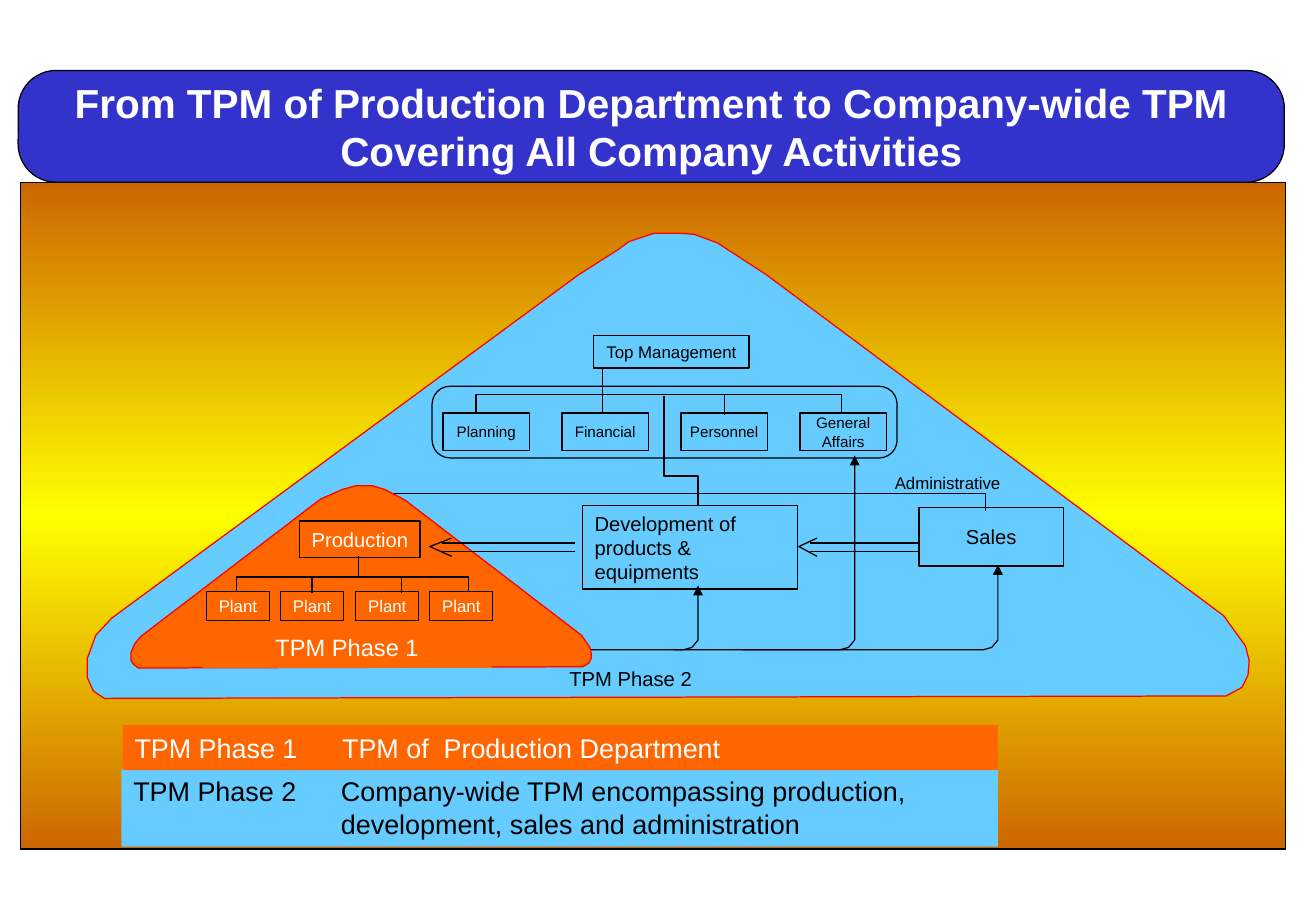
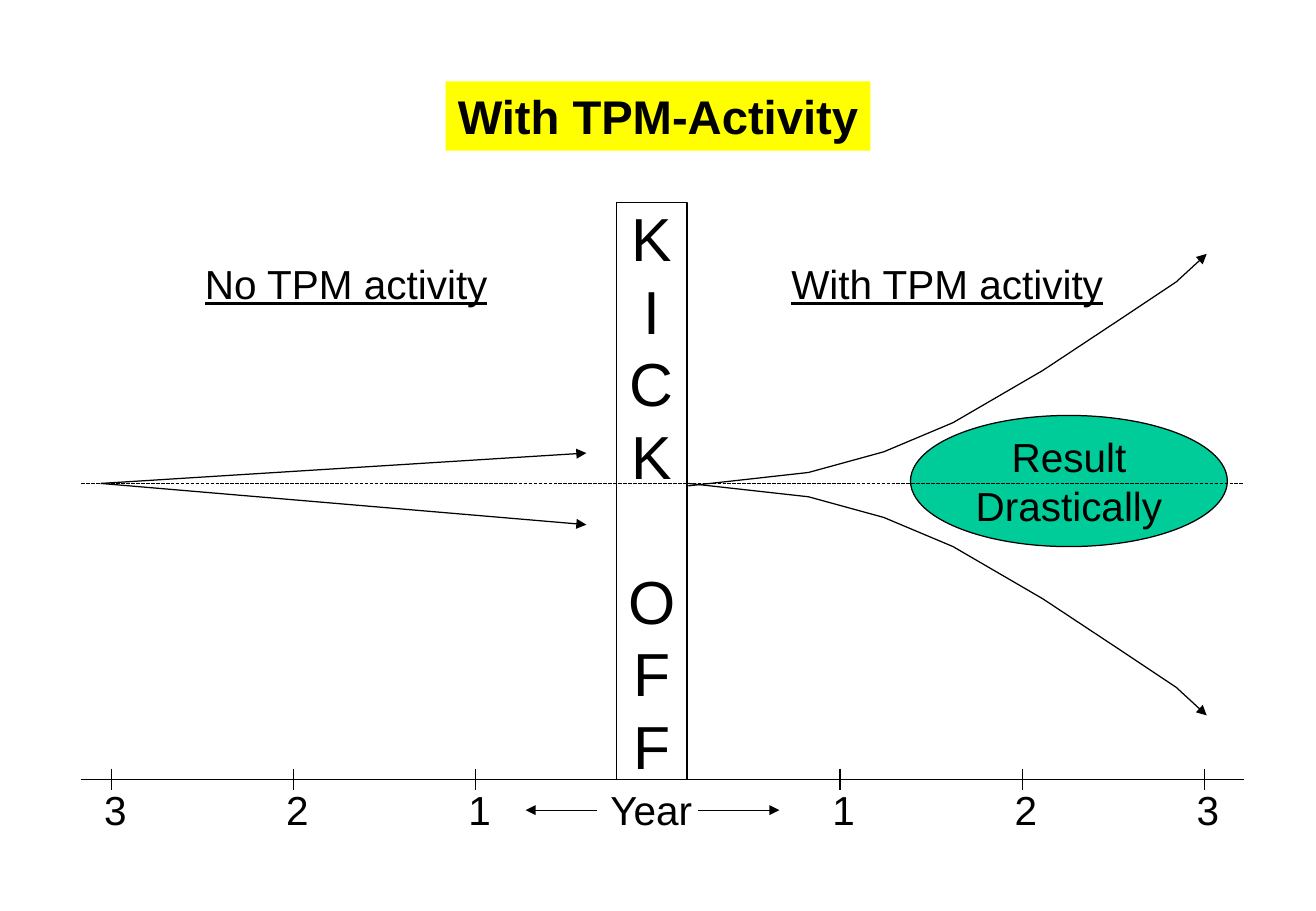
from lxml import etree
from pptx import Presentation
from pptx.dml.color import RGBColor
from pptx.enum.dml import MSO_LINE
from pptx.enum.shapes import MSO_CONNECTOR, MSO_SHAPE
from pptx.enum.text import MSO_ANCHOR, MSO_AUTO_SIZE, PP_ALIGN
from pptx.oxml.ns import qn
from pptx.util import Pt

PX = 9144  # EMU in one px, 100 px to the inch
FONT = "Arial"
C = {
    "black": "000000", "white": "FFFFFF", "band": "3333CC", "rust": "CC6600",
    "yellow": "FFFF00", "sky": "66CCFF", "orange": "FF6600", "red": "FF0000",
    "green": "00CC99",
}
RECT, ROUND, OVAL = MSO_SHAPE.RECTANGLE, MSO_SHAPE.ROUNDED_RECTANGLE, MSO_SHAPE.OVAL
LEFT, CENTER = PP_ALIGN.LEFT, PP_ALIGN.CENTER
TOP, MIDDLE = MSO_ANCHOR.TOP, MSO_ANCHOR.MIDDLE
STRAIGHT = MSO_CONNECTOR.STRAIGHT
DOTTED = MSO_LINE.SQUARE_DOT
TITLE_LAYOUT = 5
LEGEND_TAB = 171


def rgb(name):
    return RGBColor.from_string(C[name])


def set_attrs(obj, values):
    for name, value in values.items():
        setattr(obj, name, value)


# Text and outline formats
def write(sp, text, size, color="black", align=CENTER, anchor=MIDDLE,
          inset=10, wrap=True, **font):
    tf = sp.text_frame
    set_attrs(tf, {
        "text": text, "word_wrap": wrap, "auto_size": MSO_AUTO_SIZE.NONE,
        "vertical_anchor": anchor, "margin_left": inset * PX,
        "margin_right": inset * PX, "margin_top": 5 * PX, "margin_bottom": 5 * PX,
    })
    for p in tf.paragraphs:
        p.alignment = align
        p.space_before = Pt(0)
        set_attrs(p.font, {"name": FONT, "size": Pt(size), "bold": False, **font})
        p.font.color.rgb = rgb(color)
    return sp


def outline(sp, color="black", arrow=False):
    if color is None:
        sp.line.fill.background()
        return
    sp.line.color.rgb = rgb(color)
    sp.line.width = Pt(0.75)
    if arrow:
        etree.SubElement(sp.line._get_or_add_ln(), qn("a:tailEnd"), type="triangle")


def paint(sp, fill):
    if fill:
        sp.fill.solid()
        sp.fill.fore_color.rgb = rgb(fill)
    else:
        sp.fill.background()


# Kinds of element
def box(s, at, fill=None, line="black", shape=RECT, adj=None):
    sp = s.shapes.add_shape(shape, *(v * PX for v in at))
    sp.shadow.inherit = False
    paint(sp, fill)
    outline(sp, line)
    if adj is not None:
        sp.adjustments[0] = adj
    return sp


def label(s, at, text, size, **fmt):
    sp = s.shapes.add_textbox(*(v * PX for v in at))
    return write(sp, text, size, **fmt)


def path_shape(s, points, fill=None, line="black", closed=False, arrow=False):
    fb = s.shapes.build_freeform(*points[0], scale=PX)
    fb.add_line_segments(points[1:], close=closed)
    sp = fb.convert_to_shape()
    sp.shadow.inherit = False
    paint(sp, fill)
    outline(sp, line, arrow)
    return sp


def line(s, x1, y1, x2, y2, arrow=False):
    sp = s.shapes.add_connector(STRAIGHT, *(v * PX for v in (x1, y1, x2, y2)))
    outline(sp, arrow=arrow)
    etree.SubElement(sp._element.spPr, qn("a:effectLst"))
    return sp


def open_arrow(s, tail, end, barb, tip):
    for y in (447, 454):
        line(s, tail, y, end, y)
    path_shape(s, [(barb, 443), (tip, 450), (barb, 458)])


def title(s, at, text, size, color, fill=None):
    sp = s.shapes.title
    set_attrs(sp, dict(zip(("left", "top", "width", "height"), (v * PX for v in at))))
    paint(sp, fill)
    return write(sp, text, size, color=color, bold=True)


def vertical_gradient(sp, names):
    sp.fill.gradient()
    sp.fill.gradient_angle = 90
    stops = sp._element.spPr.find(qn("a:gradFill")).find(qn("a:gsLst"))
    for old in list(stops):
        stops.remove(old)
    for i, name in enumerate(names):
        gs = etree.SubElement(stops, qn("a:gs"), pos=str(i * 100000 // (len(names) - 1)))
        etree.SubElement(gs, qn("a:srgbClr"), val=C[name])


def legend(s, at, text, fill, color):
    """A name, a tab and its meaning; further lines align with the meaning."""
    sp = box(s, at, fill, None)
    write(sp, text, 16, color=color, align=LEFT, anchor=TOP)
    first, *rest = sp.text_frame.paragraphs
    tabs = etree.Element(qn("a:tabLst"))
    etree.SubElement(tabs, qn("a:tab"), pos=str(LEGEND_TAB * PX), algn="l")
    first._p.get_or_add_pPr().find(qn("a:defRPr")).addprevious(tabs)
    for p in rest:
        set_attrs_xml = p._p.get_or_add_pPr()
        set_attrs_xml.set("marL", str(LEGEND_TAB * PX))
        set_attrs_xml.set("indent", "0")


# Slide 1
def phase_two(s):
    path_shape(s, [
        (86, 575), (1010, 573), (1023, 566), (1028, 556), (1029, 544), (1026, 532),
        (1008, 507), (631, 226), (591, 200), (572, 193), (559, 192), (539, 192),
        (518, 199), (510, 205), (477, 226), (92, 509), (79, 523), (72, 542),
        (72, 558), (77, 569)], "sky", "red", closed=True)
    write(box(s, (489, 276, 128, 27)), "Top Management", 10, wrap=False)

    # Administrative departments
    for i, name in enumerate(("Planning", "Financial", "Personnel", "General Affairs")):
        write(box(s, (365 + 98 * i, 340, 71, 31)), name, 9, inset=5,
              wrap=name == "General Affairs")
    path_shape(s, [(392, 340), (392, 325), (693, 325), (693, 340)])
    line(s, 597, 325, 597, 342)
    line(s, 496, 303, 496, 341)
    box(s, (356, 318, 383, 59), shape=ROUND, adj=0.25)
    label(s, (707, 384, 147, 27), "Administrative", 10)

    # Development and sales
    write(box(s, (480, 416, 177, 69)), "Development of products & equipments", 12,
          align=LEFT)
    path_shape(s, [(547, 326), (547, 392), (575, 392), (575, 417)])
    open_arrow(s, 757, 667, 673, 658)
    for start, x, end in ((364, 575, 482), (555, 704, 375), (611, 822, 465)):
        path_shape(s, [(start, 535), (x - 12, 535), (x - 5, 533), (x, 527), (x, end)],
                   arrow=True)
    write(box(s, (757, 418, 119, 48), "sky"), "Sales", 12)
    path_shape(s, [(301, 428), (301, 406), (812, 406), (812, 421)])
    label(s, (392, 544, 255, 30), "TPM Phase 2", 12, anchor=TOP)


def phase_one(s):
    path_shape(s, [
        (114, 550), (480, 549), (485, 546), (487, 542), (487, 538), (486, 533),
        (479, 523), (334, 412), (317, 403), (307, 400), (293, 400), (282, 403),
        (264, 411), (116, 524), (111, 530), (108, 537), (108, 544), (110, 547)],
        "orange", "red", closed=True)
    write(box(s, (247, 429, 99, 30), "orange"), "Production", 12, color="white",
          wrap=False)
    for i in range(4):
        write(box(s, (170 + round(61.3 * i), 487, 52, 24), "orange"), "Plant", 10,
              color="white", inset=5, wrap=False)
    path_shape(s, [(195, 487), (195, 475), (386, 475), (386, 487)])
    for x, top, bottom in ((257, 475, 488), (331, 475, 488), (295, 458, 475)):
        line(s, x, top, x, bottom)
    write(box(s, (167, 516, 238, 34), "orange", None), "TPM Phase 1", 14, color="white")
    open_arrow(s, 474, 364, 372, 354)


def company_slide(s):
    backdrop = box(s, (17, 150, 1042, 549))
    vertical_gradient(backdrop, ("rust", "yellow", "rust"))
    band = (15, 58, 1043, 92)
    box(s, band, "band", shape=ROUND, adj=0.34)
    sp = title(s, band, "From TPM of Production Department to Company-wide TPM "
               "Covering All Company Activities", 24, "white")
    s.shapes._spTree.append(sp._element)  # in front of the band

    phase_two(s)
    phase_one(s)
    legend(s, (100, 633, 722, 64), "TPM Phase 2\tCompany-wide TPM encompassing "
           "production,\ndevelopment, sales and administration", "sky", "black")
    legend(s, (101, 597, 721, 37), "TPM Phase 1\tTPM of  Production Department",
           "orange", "white")


# Slide 2
def activity_slide(s):
    title(s, (367, 67, 350, 57), "With TPM-Activity", 28, "black", "yellow")

    # Kick-off column, one letter a line
    sp = write(box(s, (508, 167, 58, 475)), "KICK\nOFF", 36)
    for p in sp.text_frame.paragraphs:
        p.line_spacing = Pt(43)
    p.space_before = Pt(43)

    # Year axis
    line(s, 67, 642, 1025, 642)
    for side, first in ((-1, 392), (1, 692)):
        for year in (1, 2, 3):
            x = first + side * 150 * (year - 1)
            line(s, x, 633, x, 650)
            label(s, (x - 22, 641, 50, 50), str(year), 24)
    label(s, (487, 641, 99, 50), "Year", 24, wrap=False)
    line(s, 575, 667, 642, 667, arrow=True)
    line(s, 492, 667, 433, 667, arrow=True)

    # Trends before and after, mirrored about the base line
    upper = [(567, 400), (666, 389), (728, 372), (785, 348),
             (859, 305), (918, 266), (969, 232), (994, 209)]
    path_shape(s, upper, arrow=True)
    path_shape(s, [(x, 798 - y) for x, y in upper], arrow=True)
    for y in (373, 432):
        line(s, 83, 398, 483, y, arrow=True)
    for x, text in ((159, "No TPM activity"), (642, "With TPM activity")):
        label(s, (x, 208, 300, 50), text, 24, align=LEFT, underline=True)
    write(box(s, (750, 342, 261, 108), "green", shape=OVAL), "Result Drastically", 24)
    line(s, 67, 398, 1025, 398).line.dash_style = DOTTED


def main():
    prs = Presentation()
    prs.slide_width, prs.slide_height = 1084 * PX, 750 * PX
    for build in (company_slide, activity_slide):
        build(prs.slides.add_slide(prs.slide_layouts[TITLE_LAYOUT]))
    prs.save("out.pptx")


if __name__ == "__main__":
    main()
